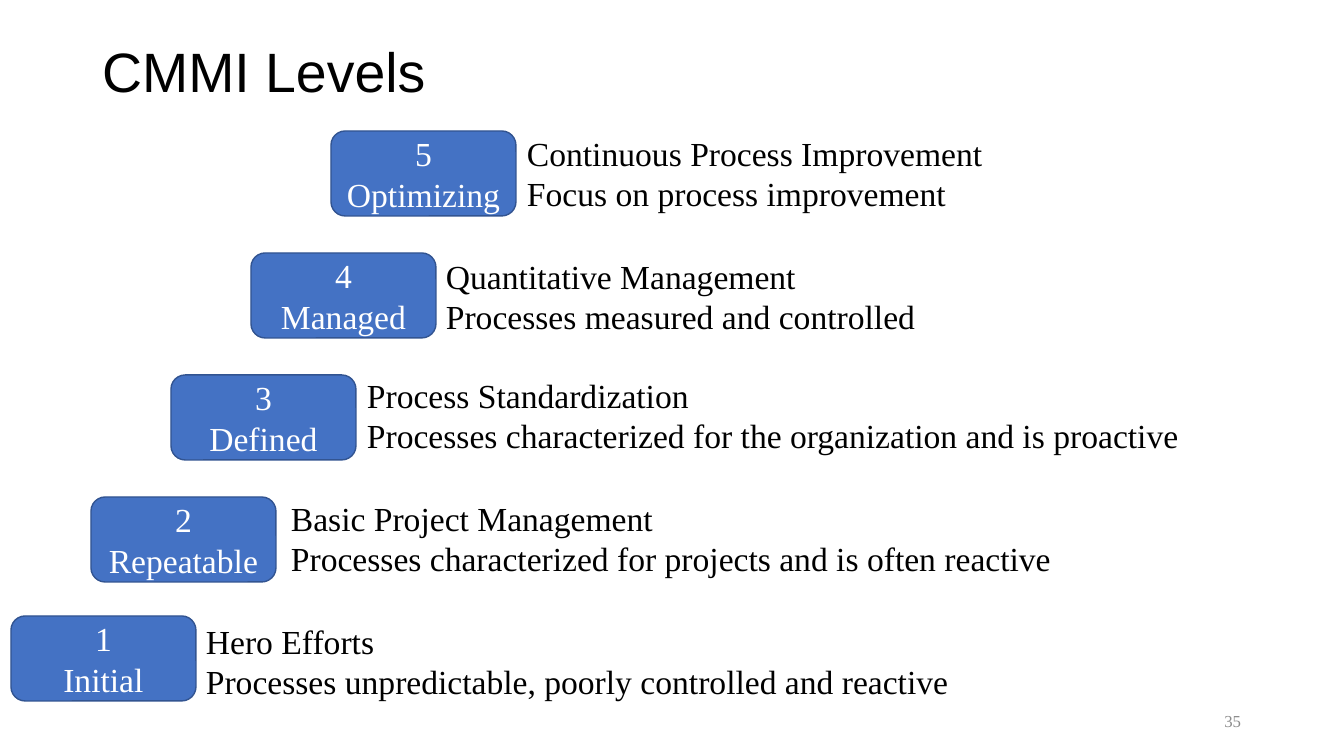
from collections import namedtuple
from dataclasses import dataclass

from pptx import Presentation
from pptx import util as u
from pptx.dml.color import RGBColor
from pptx.enum import shapes, text

TITLE = "CMMI Levels"
PAGE_NUMBER = "35"

Level = namedtuple("Level", "number name focus detail top caption_left caption_top caption_width")
LEVELS = [
    Level(5, "Optimizing", "Continuous Process Improvement",
          "Focus on process improvement", 131, 517, 128, 480),
    Level(4, "Managed", "Quantitative Management",
          "Processes measured and controlled", 253, 436, 251, 494),
    Level(3, "Defined", "Process Standardization",
          "Processes characterized for the organization and is proactive", 375, 357, 370, 840),
    Level(2, "Repeatable", "Basic Project Management",
          "Processes characterized for projects and is often reactive", 497, 281, 493, 787),
    Level(1, "Initial", "Hero Efforts",
          "Processes unpredictable, poorly controlled and reactive", 616, 196, 616, 769),
]

SLIDE_SIZE = (1344, 756)
TITLE_BOX = (92, 30, 1159, 146)
TITLE_INSET = 15
PAGE_BOX = (890, 701, 361, 40)
FIRST_STEP_LEFT = 11
STEP_SHIFT = 80
STEP_SIZE = (185, 85)
CAPTION_HEIGHT = 92


@dataclass(frozen=True)
class Theme:
    ink: str = "000000"
    muted: str = "8C8C8C"
    fill: str = "4472C4"
    outline: str = "325491"
    on_fill: str = "FFFFFF"
    title_font: str = "Arial"
    body_font: str = "Times New Roman"
    title_size: float = 39.6
    body_size: float = 24
    page_size: float = 12


THEME = Theme()


def px(length):
    return u.Emu(round(length * 914400 / 100.8))


def box(*lengths):
    return [px(length) for length in lengths]


def write(frame, lines, font, size, color, align=text.PP_ALIGN.LEFT):
    frame.text = "\n".join(lines)
    for paragraph in frame.paragraphs:
        paragraph.alignment = align
        for run in paragraph.runs:
            run.font.name = font
            run.font.size = u.Pt(size)
            run.font.color.rgb = RGBColor.from_string(color)


def add_title(slide):
    title = slide.shapes.title
    title.left, title.top, title.width, title.height = box(*TITLE_BOX)
    frame = title.text_frame
    write(frame, [TITLE], THEME.title_font, THEME.title_size, THEME.ink)
    frame.vertical_anchor = text.MSO_ANCHOR.TOP
    frame.margin_top = px(TITLE_INSET)
    frame.auto_size = text.MSO_AUTO_SIZE.NONE
    frame.paragraphs[0].line_spacing = 0.9


def add_page_number(slide):
    frame = slide.shapes.add_textbox(*box(*PAGE_BOX)).text_frame
    frame.word_wrap = True
    frame.vertical_anchor = text.MSO_ANCHOR.MIDDLE
    write(frame, [PAGE_NUMBER], THEME.body_font, THEME.page_size, THEME.muted,
          text.PP_ALIGN.RIGHT)


def add_step(slide, level):
    left = FIRST_STEP_LEFT + STEP_SHIFT * (level.number - 1)
    step = slide.shapes.add_shape(shapes.MSO_SHAPE.ROUNDED_RECTANGLE,
                                  *box(left, level.top, *STEP_SIZE))
    step.shadow.inherit = False
    step.fill.solid()
    step.fill.fore_color.rgb = RGBColor.from_string(THEME.fill)
    step.line.color.rgb = RGBColor.from_string(THEME.outline)
    step.line.width = u.Pt(1)
    step.text_frame.vertical_anchor = text.MSO_ANCHOR.MIDDLE
    write(step.text_frame, [str(level.number), level.name], THEME.body_font,
          THEME.body_size, THEME.on_fill, text.PP_ALIGN.CENTER)


def add_caption(slide, level):
    caption = slide.shapes.add_textbox(*box(level.caption_left, level.caption_top,
                                            level.caption_width, CAPTION_HEIGHT))
    frame = caption.text_frame
    frame.word_wrap = False
    frame.auto_size = text.MSO_AUTO_SIZE.SHAPE_TO_FIT_TEXT
    write(frame, [level.focus, level.detail], THEME.body_font, THEME.body_size, THEME.ink)


def main():
    presentation = Presentation()
    presentation.slide_width, presentation.slide_height = box(*SLIDE_SIZE)
    slide = presentation.slides.add_slide(presentation.slide_layouts.get_by_name("Title Only"))
    add_title(slide)
    add_page_number(slide)
    for level in LEVELS:
        add_step(slide, level)
        add_caption(slide, level)
    presentation.save("out.pptx")


if __name__ == "__main__":
    main()
